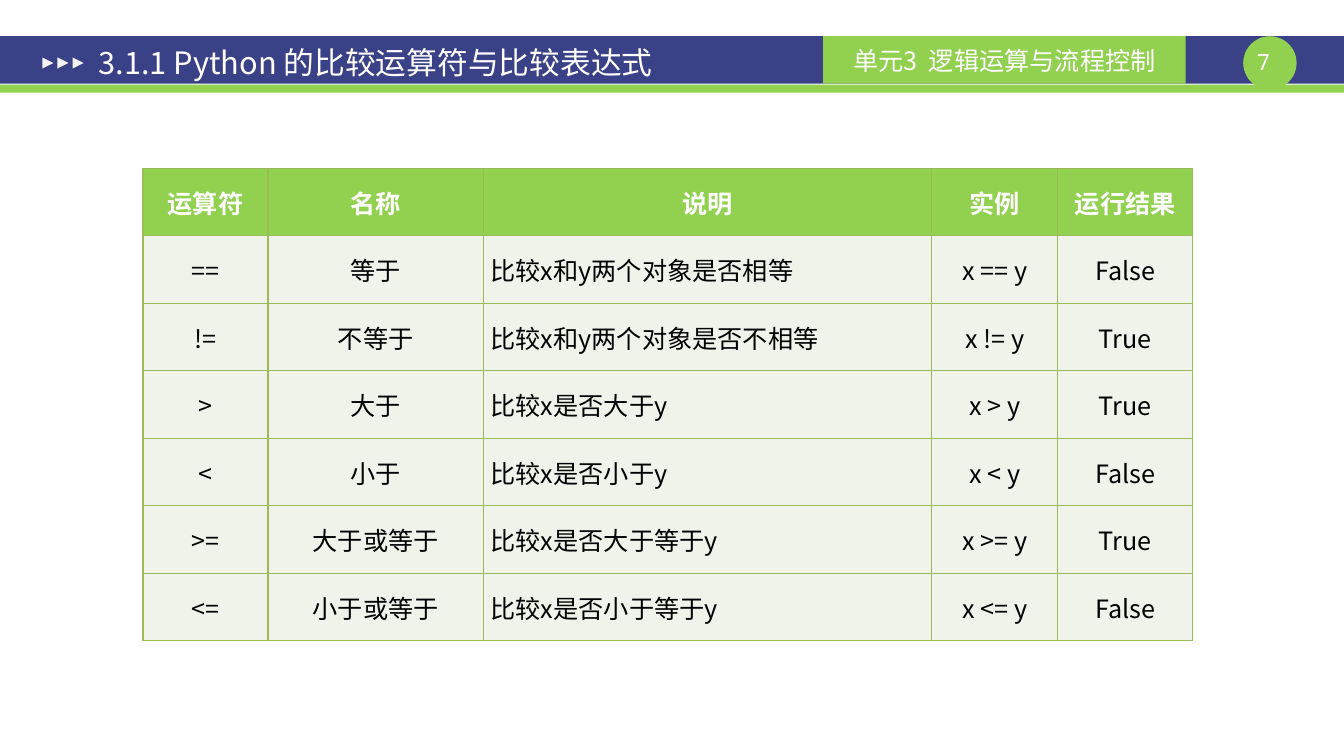
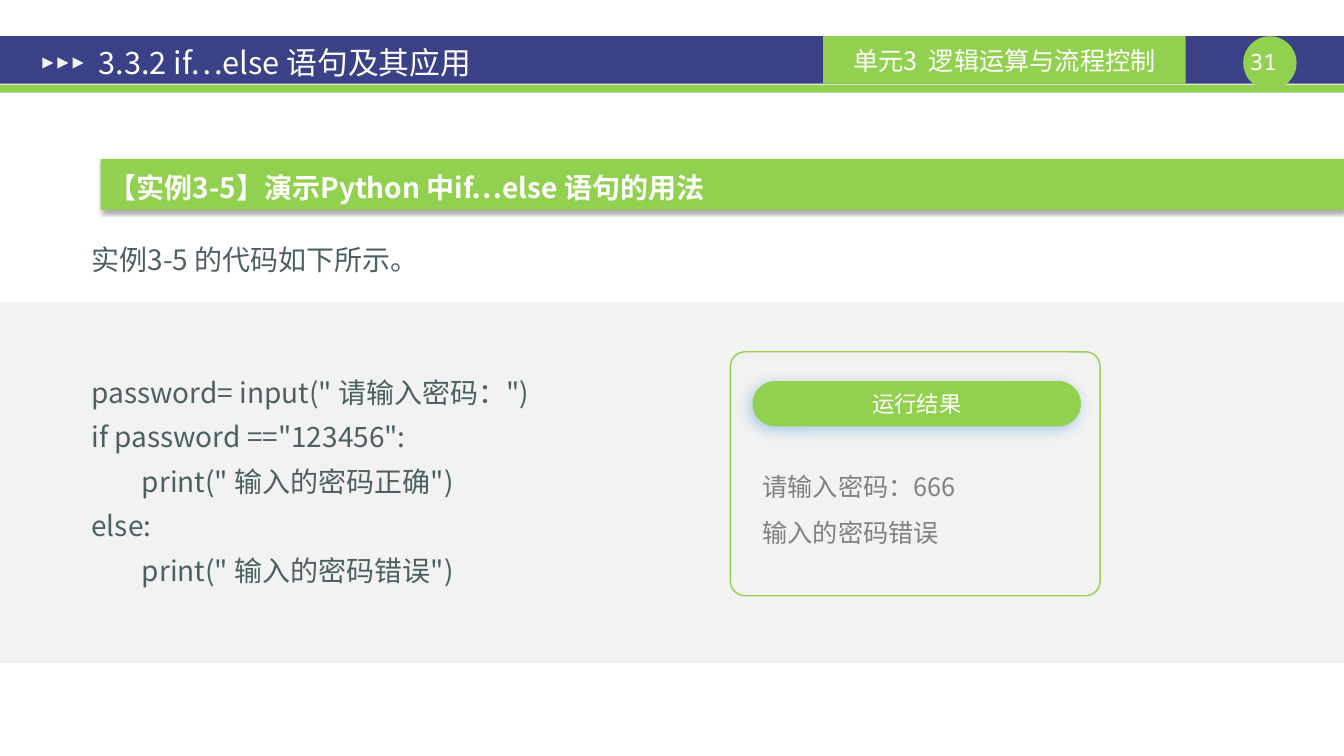
from dataclasses import dataclass

from lxml import etree
from pptx import Presentation
from pptx.dml.color import RGBColor
from pptx.enum import shapes, text
from pptx.oxml import ns
from pptx.util import Inches, Pt


@dataclass(frozen=True)
class Theme:
    navy: str = "3A4187"
    green: str = "92D050"
    white: str = "FFFFFF"
    black: str = "000000"
    pale: str = "F2F2F2"
    row: str = "EFF3EA"
    border: str = "9BBB59"
    slate: str = "4C6062"
    gray: str = "808080"
    glow: str = "0070C0"
    font: str = "Noto Sans CJK SC"
    mono: str = "Noto Sans Mono"
    title: int = 22
    body: int = 20
    label: int = 18
    small: int = 16


THEME = Theme()
WIDTH, HEIGHT = 13.34, 7.5
CHAPTER = "单元3  逻辑运算与流程控制"
SHAPE = shapes.MSO_SHAPE
ALIGN = text.PP_ALIGN
MIDDLE = text.MSO_ANCHOR.MIDDLE


def child(parent, tag, **attributes):
    return etree.SubElement(parent, ns.qn(tag), {k: str(v) for k, v in attributes.items()})


def write(frame, lines, size=THEME.label, color=THEME.white, font=THEME.font, bold=False,
          align=ALIGN.LEFT, spacing=None, indent=0, tab=0, anchor=None, insets=None):
    """Fill a text frame with one paragraph per line."""
    frame.word_wrap = True
    if anchor is not None:
        frame.vertical_anchor = anchor
    if insets is not None:
        frame.margin_left = frame.margin_right = Inches(insets[0])
        frame.margin_top = frame.margin_bottom = Inches(insets[1])
    for index, line in enumerate(lines.split("\n")):
        paragraph = frame.add_paragraph() if index else frame.paragraphs[0]
        paragraph.alignment = align
        if spacing:
            paragraph.line_spacing = spacing
        if indent or tab:
            properties = paragraph._p.get_or_add_pPr()
            properties.set("marL", "0")
            properties.set("indent", str(Inches(indent)))
            if tab:
                child(child(properties, "a:tabLst"), "a:tab", pos=Inches(tab), algn="l")
        run = paragraph.add_run()
        run.text = line
        run.font.size, run.font.bold, run.font.name = Pt(size), bold, font
        run.font.color.rgb = RGBColor.from_string(color)
        child(run.font._element, "a:ea", typeface=font)


def add_text(slide, box, lines, **style):
    shape = slide.shapes.add_textbox(*map(Inches, box))
    write(shape.text_frame, lines, **style)
    return shape


def add_block(slide, kind, box, fill=None, line=None, radius=None, shadow=None):
    """Add a flat shape; shadow is colour, opacity %, blur pt, distance pt, angle."""
    shape = slide.shapes.add_shape(kind, *map(Inches, box))
    shape.shadow.inherit = False
    if fill:
        shape.fill.solid()
        shape.fill.fore_color.rgb = RGBColor.from_string(fill)
    else:
        shape.fill.background()
    if line:
        shape.line.color.rgb = RGBColor.from_string(line)
        shape.line.width = Pt(1)
    else:
        shape.line.fill.background()
    if radius is not None:
        shape.adjustments[0] = radius
    if shadow:
        color, opacity, blur, distance, angle = shadow
        effects = shape._element.spPr.find(ns.qn("a:effectLst"))
        outer = child(effects, "a:outerShdw", blurRad=Pt(blur), dist=Pt(distance),
                      dir=angle * 60000, algn="ctr", rotWithShape=0)
        child(child(outer, "a:srgbClr", val=color), "a:alpha", val=opacity * 1000)
    return shape


def add_titled_slide(presentation, title, number):
    """Create a slide with the shared header band."""
    slide = presentation.slides.add_slide(presentation.slide_layouts[5])
    top, band = 0.36, 0.47

    # Bands and page badge
    add_block(slide, SHAPE.RECTANGLE, (0, top, WIDTH, band), THEME.navy)
    add_block(slide, SHAPE.RECTANGLE, (0, top + 0.48, WIDTH, 0.08), THEME.green)
    add_block(slide, SHAPE.OVAL, (12.34, top, 0.53, 0.53), THEME.green)
    add_text(slide, (12.34, top + 0.12, 0.4, 0.27), str(number), size=THEME.small,
             font=THEME.mono, align=ALIGN.CENTER, insets=(0, 0))

    # Chapter label
    chapter = add_block(slide, SHAPE.RECTANGLE, (8.17, top, 3.6, band), THEME.green)
    write(chapter.text_frame, CHAPTER, align=ALIGN.CENTER, anchor=MIDDLE)

    # Arrow marks
    for index in range(3):
        mark = add_block(slide, SHAPE.ISOSCELES_TRIANGLE,
                         (0.42 + 0.15 * index, top + 0.21, 0.11, 0.11), THEME.pale)
        mark.rotation = 90

    # Title, brought in front of the bands
    holder = slide.shapes.title
    holder.left, holder.top, holder.width, holder.height = map(Inches, (0.85, 0.4, 7.2, 0.44))
    holder.text_frame.auto_size = text.MSO_AUTO_SIZE.NONE
    write(holder.text_frame, title, size=THEME.title, anchor=MIDDLE, insets=(0.13, 0.07))
    holder.element.getparent().append(holder.element)
    return slide


def add_operator_table(slide, left, top, widths, row_height, rows):
    frame = slide.shapes.add_table(len(rows), len(widths), Inches(left), Inches(top),
                                   Inches(sum(widths)), Inches(row_height * len(rows)))
    table = frame.table
    for column, width in zip(table.columns, widths):
        column.width = Inches(width)
    for r, row in enumerate(rows):
        table.rows[r].height = Inches(row_height)
        header = r == 0
        for c, value in enumerate(row):
            cell = table.cell(r, c)
            centred = header or c != 2
            write(cell.text_frame, value, bold=header,
                  color=THEME.white if header else THEME.black,
                  align=ALIGN.CENTER if centred else ALIGN.LEFT)
            cell.vertical_anchor = MIDDLE
            cell.margin_left = cell.margin_right = Inches(0.07)
            cell.margin_top = cell.margin_bottom = Inches(0.05)
            properties = cell._tc.get_or_add_tcPr()
            for side in ("a:lnL", "a:lnR", "a:lnT", "a:lnB"):
                line = child(properties, side, w=Pt(1))
                child(child(line, "a:solidFill"), "a:srgbClr", val=THEME.border)
            cell.fill.solid()
            cell.fill.fore_color.rgb = RGBColor.from_string(THEME.green if header else THEME.row)


def add_example_bar(slide, left, top, caption):
    add_block(slide, SHAPE.RECTANGLE, (left, top, WIDTH - left, 0.5), THEME.green,
              shadow=(THEME.black, 35, 3.1, 1.8, 90))
    add_text(slide, (left - 0.52, top - 0.04, 12.11, 0.5), caption, size=THEME.body,
             bold=True, spacing=1.32, indent=0.5)


def add_result_panel(slide, left, top, caption, output):
    add_block(slide, SHAPE.ROUNDED_RECTANGLE, (left, top, 3.67, 2.42),
              line=THEME.green, radius=0.06)
    add_text(slide, (left + 0.22, top + 0.99, 3.65, 1.01), output, color=THEME.gray, spacing=1.5)
    pill = add_block(slide, SHAPE.ROUNDED_RECTANGLE, (left + 0.22, top + 0.29, 3.26, 0.45),
                     THEME.green, radius=0.5, shadow=(THEME.glow, 30, 10, 3, 135))
    write(pill.text_frame, caption, size=THEME.small, align=ALIGN.CENTER, anchor=MIDDLE)


def build_operators_slide(presentation):
    slide = add_titled_slide(presentation, "3.1.1 Python 的比较运算符与比较表达式", 7)
    rows = [
        ("运算符", "名称", "说明", "实例", "运行结果"),
        ("==", "等于", "比较x和y两个对象是否相等", "x == y", "False"),
        ("!=", "不等于", "比较x和y两个对象是否不相等", "x != y", "True"),
        (">", "大于", "比较x是否大于y", "x > y", "True"),
        ("<", "小于", "比较x是否小于y", "x < y", "False"),
        (">=", "大于或等于", "比较x是否大于等于y", "x >= y", "True"),
        ("<=", "小于或等于", "比较x是否小于等于y", "x <= y", "False"),
    ]
    add_operator_table(slide, 1.42, 1.67, (1.24, 2.14, 4.45, 1.25, 1.34), 0.67, rows)


def build_if_else_slide(presentation):
    slide = add_titled_slide(presentation, "3.3.2 if…else 语句及其应用", 31)
    add_block(slide, SHAPE.RECTANGLE, (0, 3, WIDTH, 3.58), THEME.pale)
    add_example_bar(slide, 1, 1.58, "【实例3-5】演示Python 中if…else 语句的用法")

    # Introduction and code
    code = "\n".join((
        'password= input(" 请输入密码：")',
        'if password =="123456":',
        '\tprint(" 输入的密码正确")',
        'else:',
        '\tprint(" 输入的密码错误")',
    ))
    style = dict(size=THEME.body, color=THEME.slate, spacing=1.32, indent=0.5, tab=1.33)
    add_text(slide, (0.31, 2.25, 12.11, 0.5), "实例3-5 的代码如下所示。", **style)
    add_text(slide, (0.31, 3.57, 6.5, 2.34), code, **style)

    add_result_panel(slide, 7.25, 3.49, "运行结果", "请输入密码：666\n输入的密码错误")


def main():
    presentation = Presentation()
    presentation.slide_width, presentation.slide_height = Inches(WIDTH), Inches(HEIGHT)
    build_operators_slide(presentation)
    build_if_else_slide(presentation)
    presentation.save("out.pptx")


if __name__ == "__main__":
    main()
